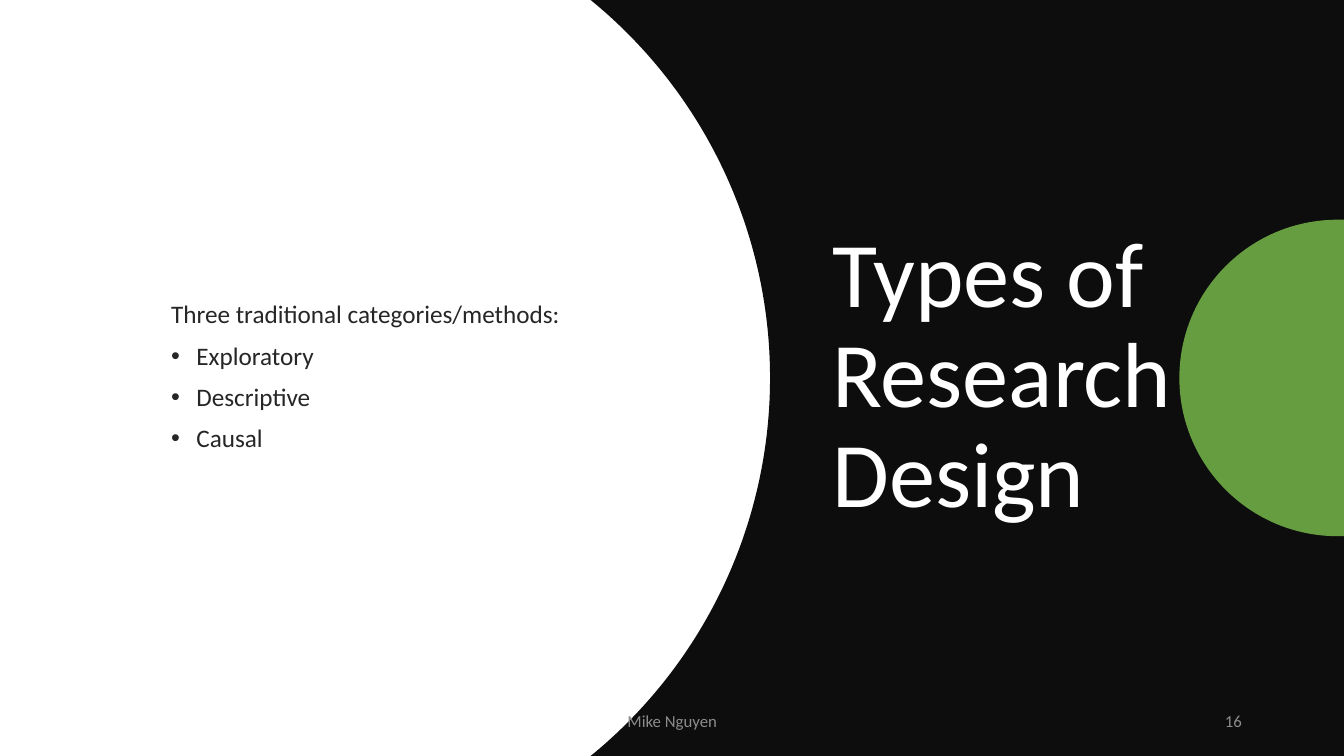
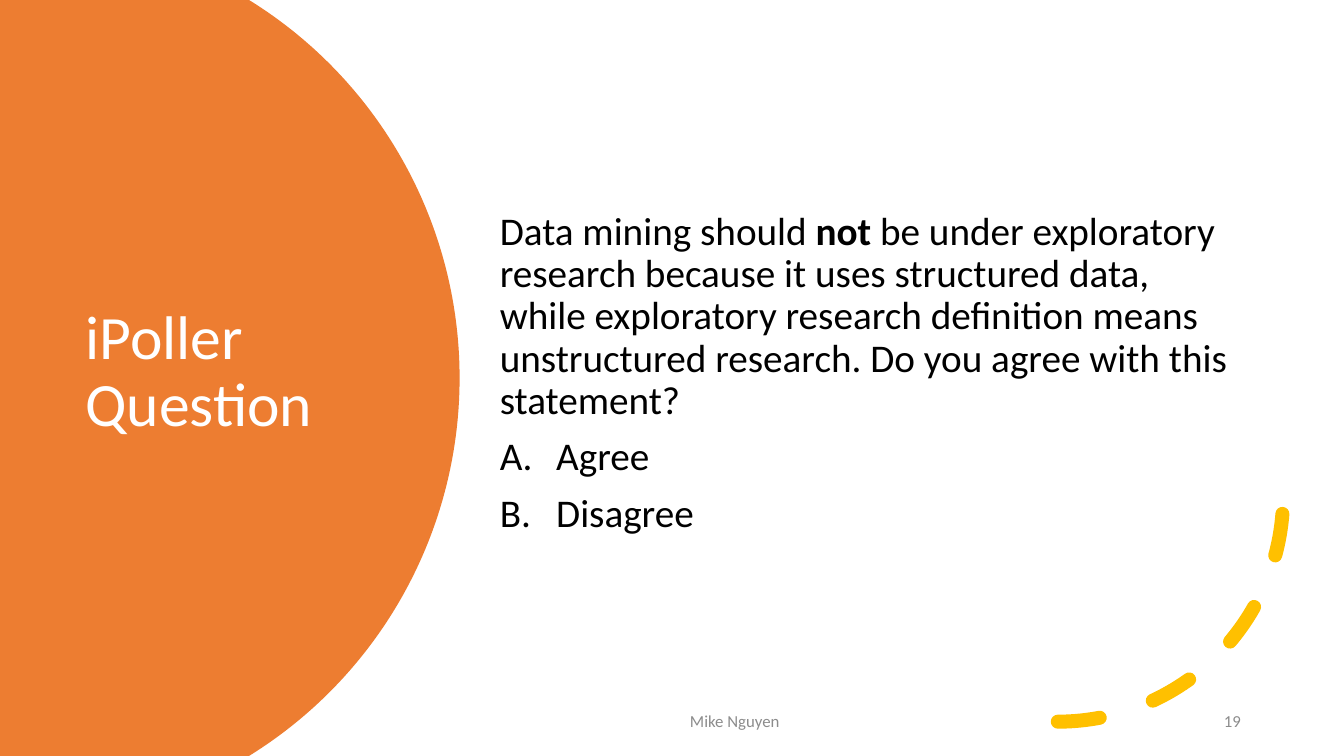
from math import asin, cos, pi, sin, tan

from lxml import etree
from pptx import Presentation
from pptx.dml.color import RGBColor
from pptx.enum.dml import MSO_LINE
from pptx.enum.shapes import MSO_SHAPE
from pptx.enum.text import MSO_ANCHOR, PP_ALIGN
from pptx.oxml.ns import qn
from pptx.util import Inches, Pt

ARC, DASH, MIDDLE = MSO_SHAPE.ARC, MSO_LINE.DASH, MSO_ANCHOR.MIDDLE
LEFT, CENTER, RIGHT = PP_ALIGN.LEFT, PP_ALIGN.CENTER, PP_ALIGN.RIGHT

COLORS = {
    "white": "FFFFFF", "black": "000000", "panel": "0D0D0D", "body": "262626",
    "footer": "8C8C8C", "green": "70AD47", "orange": "ED7D31", "gold": "FFC000",
}
FONT = "Calibri"
WIDTH, HEIGHT = 40 / 3, 7.5
MIDLINE = HEIGHT / 2
BULLET = [("buFont", {"typeface": "Arial"}), ("buChar", {"char": "•"})]
LETTERS = [("buAutoNum", {"type": "alphaUcPeriod"})]


def add_round_panel(slide, color, center_x, radius, start, end, corners):
    """Fill an arc about the slide's midline, drawn as two curves and closed through the corners."""
    angles = [start, (start + end) / 2, end]
    outline = [(center_x + radius * cos(a), MIDLINE + radius * sin(a)) for a in angles]
    points = [(Inches(x), Inches(y)) for x, y in outline + corners]
    builder = slide.shapes.build_freeform(*points[0])
    builder.add_line_segments(points[1:], close=True)
    panel = builder.convert_to_shape()
    panel.shadow.inherit = False
    panel.fill.solid()
    panel.fill.fore_color.rgb = RGBColor.from_string(COLORS[color])
    panel.line.fill.background()

    # Bend the first two straight segments into cubic curves
    reach = 4 / 3 * tan((end - start) / 8) * radius
    segments = list(panel._element.iter(qn("a:lnTo")))
    for i, segment in enumerate(segments[:2]):
        segment.tag = qn("a:cubicBezTo")
        for position, (corner, sign) in enumerate([(i, 1), (i + 1, -1)]):
            x = outline[corner][0] - sign * reach * sin(angles[corner])
            y = outline[corner][1] + sign * reach * cos(angles[corner])
            control = etree.Element(qn("a:pt"), x=str(Inches(x) - panel.left),
                                    y=str(Inches(y) - panel.top))
            segment.insert(position, control)
    return panel


def add_text(slide, box, paragraphs, size, color, align=LEFT, spacing=0.9,
             before=0, after=0, list_style=(), indent=0):
    """Add paragraphs, each a list of (text, bold) runs; all but the first take list_style."""
    frame = slide.shapes.add_textbox(*map(Inches, box)).text_frame
    frame.word_wrap = True
    frame.vertical_anchor = MIDDLE
    for number, runs in enumerate(paragraphs):
        paragraph = frame.add_paragraph() if number else frame.paragraphs[0]
        paragraph.alignment = align
        paragraph.line_spacing = spacing
        paragraph.space_before, paragraph.space_after = Pt(before), Pt(after)
        if number:
            properties = paragraph._p.get_or_add_pPr()
            properties.set("marL", str(Inches(indent)))
            properties.set("indent", str(-Inches(indent)))
            for tag, attributes in list_style:
                etree.SubElement(properties, qn(f"a:{tag}"), attributes)
        paragraph.font.name = FONT
        paragraph.font.size = Pt(size)
        paragraph.font.color.rgb = RGBColor.from_string(COLORS[color])
        for text, bold in runs:
            run = paragraph.add_run()
            run.text = text
            if bold:
                run.font.bold = True


prs = Presentation()
prs.slide_width, prs.slide_height = Inches(WIDTH), Inches(HEIGHT)
blank = prs.slide_layouts[6]

# Types of research design
design = prs.slides.add_slide(blank)
radius = 4.84
half_angle = asin(MIDLINE / radius)
add_round_panel(design, "panel", 2.8, radius, -half_angle, half_angle,
                [(WIDTH, HEIGHT), (WIDTH, 0)])
radius = 1.57
green_disc = add_round_panel(design, "green", 13.27, radius, pi / 2, 3 * pi / 2,
                             [(WIDTH, MIDLINE - radius), (WIDTH, MIDLINE + radius)])
green_fill = green_disc._element.spPr.find(qn("a:solidFill"))
etree.SubElement(green_fill[0], qn("a:alpha"), val="90000")
add_text(design, (8.16, 1.19, 3.68, 5.11), [[("Types of Research Design", False)]], 66, "white")
categories = ["Three traditional categories/methods:", "Exploratory", "Descriptive", "Causal"]
add_text(design, (1.6, 1.64, 4.77, 4.21), [[(line, False)] for line in categories],
         18, "body", before=10, list_style=BULLET, indent=0.25)

# Audience question
question = prs.slides.add_slide(blank)
radius = 4.41
half_angle = asin(MIDLINE / radius)
add_round_panel(question, "orange", 0.15, radius, -half_angle, half_angle,
                [(0, HEIGHT), (0, 0)])
add_text(question, (0.75, 1.26, 3.5, 4.88), [[("iPoller Question", False)]], 44, "white")

dashes = question.shapes.add_shape(ARC, *map(Inches, (8.26, 2.69, 4.47, 4.47)))
dashes.shadow.inherit = False
dashes.fill.background()
dashes.line.color.rgb = RGBColor.from_string(COLORS["gold"])
dashes.line.width = Pt(10)
dashes.line.dash_style = DASH
dashes.line._ln.set("cap", "rnd")
dashes._element.spPr.xfrm.set("flipV", "1")

statement = [
    ("Data mining should ", False),
    ("not", True),
    (" be under exploratory research because it uses structured data, while exploratory "
     "research definition means unstructured research. Do you agree with this statement?", False),
]
add_text(question, (4.86, 0.65, 7.55, 6.11),
         [statement, [("Agree", False)], [("Disagree", False)]],
         28, "black", before=10, list_style=LETTERS, indent=0.56)

# Footers: author and slide number as (left, width)
for slide, number, author_span, number_span, after in [
    (design, "16", (4.42, 4.5), (9.42, 3), 0),
    (question, "19", (4.42, 5.74), (10.43, 1.98), 6),
]:
    for text, (left, width), align in [("Mike Nguyen", author_span, CENTER),
                                       (number, number_span, RIGHT)]:
        add_text(slide, (left, 6.95, width, 0.4), [[(text, False)]], 12, "footer",
                 align=align, spacing=1, after=after)

prs.save("out.pptx")
